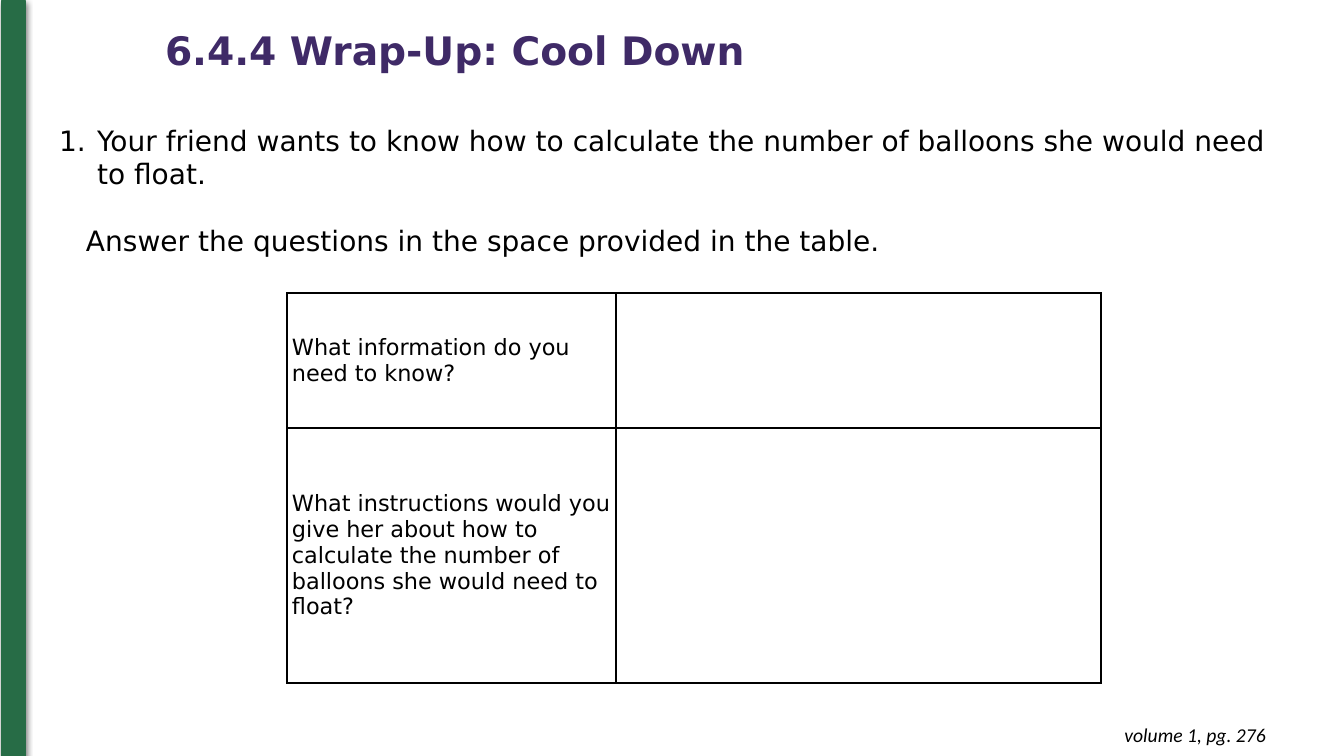
from lxml import etree
from pptx import Presentation
from pptx import util as u
from pptx.dml.color import RGBColor
from pptx.enum import shapes, text
from pptx.oxml import parse_xml
from pptx.oxml.ns import nsdecls, qn

SLIDE_SIZE = (1344, 756)
EMU_PER_PX = u.Inches(13.333) / SLIDE_SIZE[0]
GREEN, PURPLE, BLACK = "276C46", "3F2A67", "000000"
SANS = "DejaVu Sans"

TITLE = "6.4.4 Wrap-Up: Cool Down"
TASK = "Your friend wants to know how to calculate the number of balloons she would need to float."
DIRECTION = "Answer the questions in the space provided in the table."
PAGE_REFERENCE = "volume 1, pg. 276"
QUESTIONS = [
    "What information do you need to know?",
    "What instructions would you give her about how to calculate the number of balloons "
    "she would need to float?",
]

BAR = (2, 1, 24, 757)
TITLE_BOX = (155, -20, 884, 146)
TASK_BOX = (49, 118, 1228, 146)
REFERENCE_BOX = (986, 713, 290, 44)
TABLE_ORIGIN = (287, 293)
COLUMN_WIDTHS = (329, 485)
ROW_HEIGHTS = (135, 255)
NUMBER_INDENT = 38
DIRECTION_INDENT = 27


def px(length):
    return u.Emu(round(length * EMU_PER_PX))


def color(hex_string):
    return RGBColor.from_string(hex_string)


def write(paragraph, content, size=20, font=SANS, fill=BLACK, bold=False, italic=False,
          align=None, line_spacing=None, space_before=None):
    run = paragraph.add_run()
    run.text = content
    run.font.name, run.font.size = font, u.Pt(size)
    run.font.bold, run.font.italic = bold, italic
    run.font.color.rgb = color(fill)
    paragraph.alignment = align
    paragraph.line_spacing = line_spacing
    if space_before:
        paragraph.space_before = u.Pt(space_before)


def add_text_frame(slide, box, anchor=text.MSO_ANCHOR.TOP, inset_y=5):
    frame = slide.shapes.add_textbox(*map(px, box)).text_frame
    frame.word_wrap = True
    frame.vertical_anchor = anchor
    frame.margin_left = frame.margin_right = px(10)
    frame.margin_top = frame.margin_bottom = px(inset_y)
    return frame


def indent(paragraph, left, hanging=0, number=False):
    properties = paragraph._p.get_or_add_pPr()
    properties.set("marL", str(px(left)))
    properties.set("indent", str(-px(hanging)))
    if number:
        etree.SubElement(properties, qn("a:buFont"), typeface=SANS)
        etree.SubElement(properties, qn("a:buAutoNum"), type="arabicPeriod")


def add_borders(cell):
    properties = cell._tc.get_or_add_tcPr()
    for index, side in enumerate(("lnL", "lnR", "lnT", "lnB")):
        properties.insert(index, parse_xml(
            f'<a:{side} {nsdecls("a")} w="{u.Pt(1)}"><a:solidFill>'
            f'<a:srgbClr val="{BLACK}"/></a:solidFill></a:{side}>'))


def add_bar(slide):
    bar = slide.shapes.add_shape(shapes.MSO_SHAPE.RECTANGLE, *map(px, BAR))
    bar.fill.solid()
    bar.fill.fore_color.rgb = bar.line.color.rgb = color(GREEN)
    bar.line.width = u.Pt(0.75)
    bar.shadow.inherit = False
    bar._element.spPr.find(qn("a:effectLst")).append(parse_xml(
        f'<a:outerShdw {nsdecls("a")} blurRad="{u.Pt(4.5)}" dist="{u.Pt(1.5)}" dir="5400000">'
        f'<a:srgbClr val="{BLACK}"><a:alpha val="50000"/></a:srgbClr></a:outerShdw>'))


def add_question_table(slide):
    table = slide.shapes.add_table(
        len(ROW_HEIGHTS), len(COLUMN_WIDTHS), *map(px, TABLE_ORIGIN),
        px(sum(COLUMN_WIDTHS)), px(sum(ROW_HEIGHTS))).table
    table.first_row = table.horz_banding = False
    for column, width in zip(table.columns, COLUMN_WIDTHS):
        column.width = px(width)
    for row, height, question in zip(table.rows, ROW_HEIGHTS, QUESTIONS):
        row.height = px(height)
        for cell in row.cells:
            cell.fill.background()
            cell.vertical_anchor = text.MSO_ANCHOR.MIDDLE
            cell.margin_left = cell.margin_right = px(5)
            cell.margin_top = cell.margin_bottom = 0
            add_borders(cell)
        write(row.cells[0].text_frame.paragraphs[0], question, size=16)


def main():
    presentation = Presentation()
    presentation.slide_width, presentation.slide_height = map(px, SLIDE_SIZE)
    slide = presentation.slides.add_slide(presentation.slide_layouts[6])

    add_bar(slide)
    title = add_text_frame(slide, TITLE_BOX, anchor=text.MSO_ANCHOR.MIDDLE)
    write(title.paragraphs[0], TITLE, size=28, fill=PURPLE, bold=True, line_spacing=0.9)

    task = add_text_frame(slide, TASK_BOX)
    indent(task.paragraphs[0], NUMBER_INDENT, hanging=NUMBER_INDENT, number=True)
    write(task.paragraphs[0], TASK)
    direction = task.add_paragraph()
    indent(direction, DIRECTION_INDENT)
    write(direction, DIRECTION, space_before=24)

    reference = add_text_frame(slide, REFERENCE_BOX, inset_y=10)
    write(reference.paragraphs[0], PAGE_REFERENCE, size=14, font="Calibri", italic=True,
          align=text.PP_ALIGN.RIGHT)
    add_question_table(slide)
    presentation.save("out.pptx")


if __name__ == "__main__":
    main()
